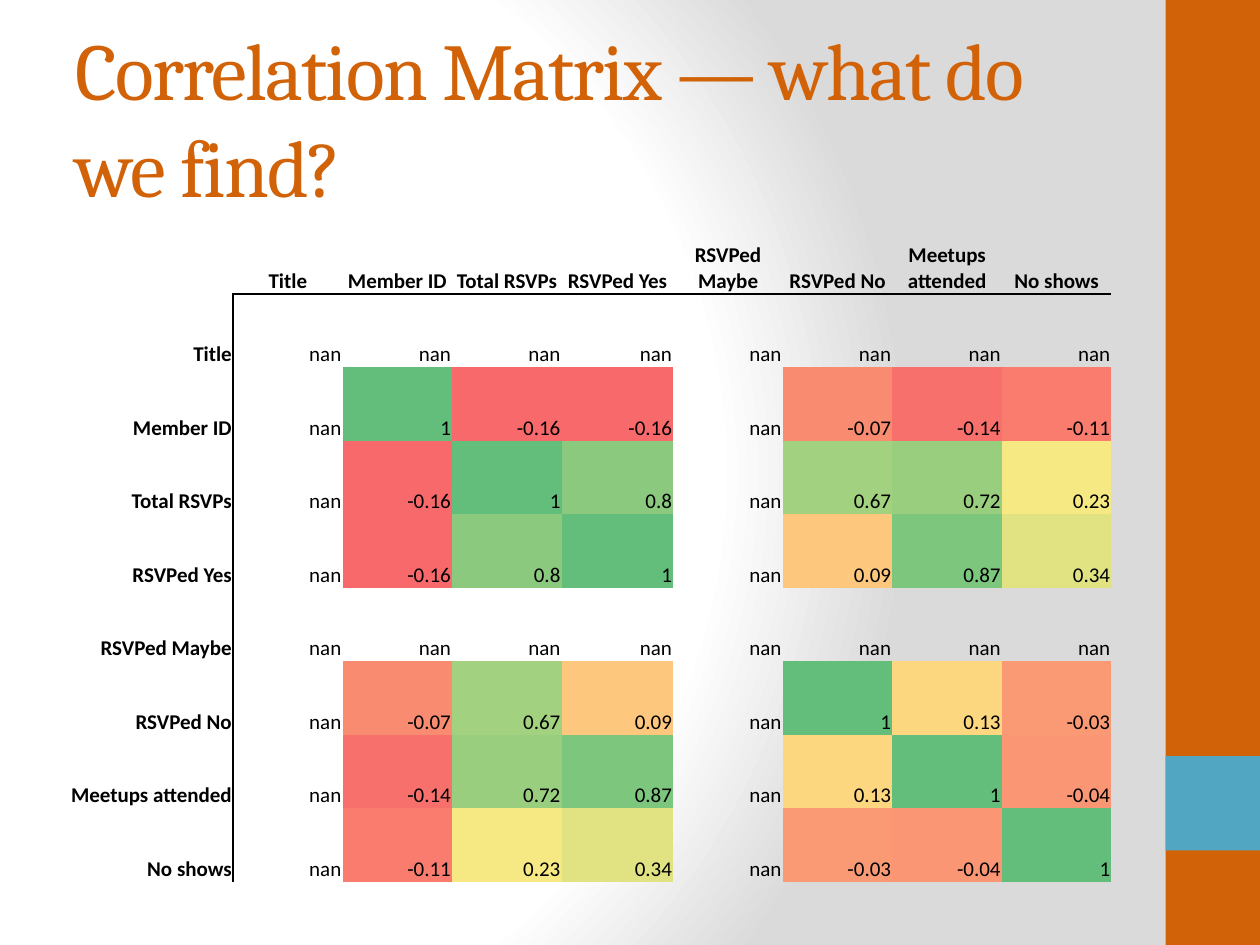
from dataclasses import dataclass

from pptx import Presentation
from pptx.dml.color import RGBColor
from pptx.enum.shapes import MSO_SHAPE
from pptx.enum.text import MSO_ANCHOR, MSO_AUTO_SIZE, PP_ALIGN
from pptx.oxml import parse_xml
from pptx.oxml.ns import nsdecls, qn
from pptx.util import Pt

RECT = MSO_SHAPE.RECTANGLE
MIDDLE, BOTTOM = MSO_ANCHOR.MIDDLE, MSO_ANCHOR.BOTTOM
LEFT, CENTER, RIGHT = PP_ALIGN.LEFT, PP_ALIGN.CENTER, PP_ALIGN.RIGHT
NO_FIT = MSO_AUTO_SIZE.NONE
PLAIN = "{2D5ABB26-0587-4C30-8999-92F81FD0307C}"


@dataclass(frozen=True)
class Theme:
    accent: str = "D16207"
    block: str = "51A6C2"
    ink: str = "000000"
    light: str = "FFFFFF"
    shade: str = "DADADA"
    head: str = "Cambria"
    body: str = "Calibri"
    big: int = 46
    small: int = 12


THEME = Theme()
NAMES = ["Title", "Member ID", "Total RSVPs", "RSVPed Yes", "RSVPed Maybe",
         "RSVPed No", "Meetups attended", "No shows"]
LOWER = [
    ["nan"],
    ["nan", "1"],
    ["nan", "-0.16", "1"],
    ["nan", "-0.16", "0.8", "1"],
    ["nan", "nan", "nan", "nan", "nan"],
    ["nan", "-0.07", "0.67", "0.09", "nan", "1"],
    ["nan", "-0.14", "0.72", "0.87", "nan", "0.13", "1"],
    ["nan", "-0.11", "0.23", "0.34", "nan", "-0.03", "-0.04", "1"],
]
HEAT = {
    "-0.16": "F8696B", "-0.14": "F8706C", "-0.11": "F97C6E",
    "-0.07": "F98B71", "-0.04": "FA9673", "-0.03": "FA9A74",
    "0.09": "FDC87D", "0.13": "FDD780", "0.23": "F6E984",
    "0.34": "E1E383", "0.67": "A2D17F", "0.72": "99CE7F",
    "0.8": "8AC97E", "0.87": "7CC67D", "1": "63BE7B",
}


def rgb(code):
    return RGBColor.from_string(code)


def set_font(para, name, size, color, bold=False):
    font = para.font
    font.name, font.size, font.bold = name, Pt(size), bold
    font.color.rgb = rgb(color)


def add_back(slide):
    stops = [(0, THEME.light), (75, THEME.light), (100, THEME.shade)]
    marks = "".join(
        f'<a:gs pos="{pos * 1000}"><a:srgbClr val="{color}"/></a:gs>'
        for pos, color in stops)
    back = parse_xml(
        f'<p:bg {nsdecls("p", "a")}><p:bgPr><a:gradFill rotWithShape="1">'
        f'<a:gsLst>{marks}</a:gsLst><a:path path="circle">'
        '<a:fillToRect l="20000" t="50000" r="100000" b="50000"/></a:path>'
        '</a:gradFill><a:effectLst/></p:bgPr></p:bg>')
    slide.element.find(qn("p:cSld")).insert(0, back)


def add_block(slide, left, top, width, height, color):
    block = slide.shapes.add_shape(
        RECT, Pt(left), Pt(top), Pt(width), Pt(height))
    block.shadow.inherit = False
    block.fill.solid()
    block.fill.fore_color.rgb = rgb(color)
    block.line.fill.background()


def set_title(slide, text):
    title = slide.shapes.title
    title.left, title.top = Pt(36), Pt(21.6)
    title.width, title.height = Pt(600), Pt(90)
    frame = title.text_frame
    frame.text = text
    frame.word_wrap = True
    frame.auto_size = NO_FIT
    frame.vertical_anchor = MIDDLE
    para = frame.paragraphs[0]
    para.alignment = LEFT
    set_font(para, THEME.head, THEME.big, THEME.accent)
    for props in title.element.iter(qn("a:defRPr")):
        props.set("spc", "-100")


def add_edge(cell, side, width):
    edge = parse_xml(
        f'<a:{side} {nsdecls("a")} w="{Pt(width)}"><a:solidFill>'
        f'<a:srgbClr val="{THEME.ink}"/></a:solidFill></a:{side}>')
    cell._tc.get_or_add_tcPr().insert(0, edge)


def set_cell(cell, text, align, bold):
    cell.text = text
    cell.vertical_anchor = BOTTOM
    cell.margin_left = cell.margin_right = cell.margin_top = Pt(0.75)
    cell.margin_bottom = 0
    para = cell.text_frame.paragraphs[0]
    para.alignment = align
    set_font(para, THEME.body, THEME.small, THEME.ink, bold)
    if text in HEAT:
        cell.fill.solid()
        cell.fill.fore_color.rgb = rgb(HEAT[text])
    else:
        cell.fill.background()


def add_matrix(slide):
    count = len(NAMES) + 1
    frame = slide.shapes.add_table(
        count, count, Pt(36.7), Pt(126), Pt(599), Pt(378))
    table = frame.table
    table.first_row = table.horz_banding = False
    frame.element.find(".//" + qn("a:tableStyleId")).text = PLAIN
    for row in table.rows:
        row.height = Pt(42)
    for col in table.columns:
        col.width = Pt(62.6)
    table.columns[0].width = Pt(96.5)
    table.columns[5].width = Pt(64)
    table.columns[4].width = Pt(63.8)

    set_cell(table.cell(0, 0), "", CENTER, True)
    for i, name in enumerate(NAMES, 1):
        top, side = table.cell(0, i), table.cell(i, 0)
        set_cell(top, name, CENTER, True)
        add_edge(top, "lnB", 1)
        set_cell(side, name, RIGHT, True)
        add_edge(side, "lnR", 1.5)
        for j in range(1, count):
            value = LOWER[max(i, j) - 1][min(i, j) - 1]
            set_cell(table.cell(i, j), value, RIGHT, False)
    table.columns[5].width = Pt(62.6)


def main():
    deck = Presentation()
    deck.slide_width, deck.slide_height = Pt(720), Pt(540)
    slide = deck.slides.add_slide(deck.slide_layouts[5])
    add_back(slide)
    add_block(slide, 666, 0, 54, 540, THEME.accent)
    add_block(slide, 666, 432, 54, 54, THEME.block)
    set_title(slide, "Correlation Matrix — what do we find?")
    add_matrix(slide)
    deck.save("out.pptx")


if __name__ == "__main__":
    main()
